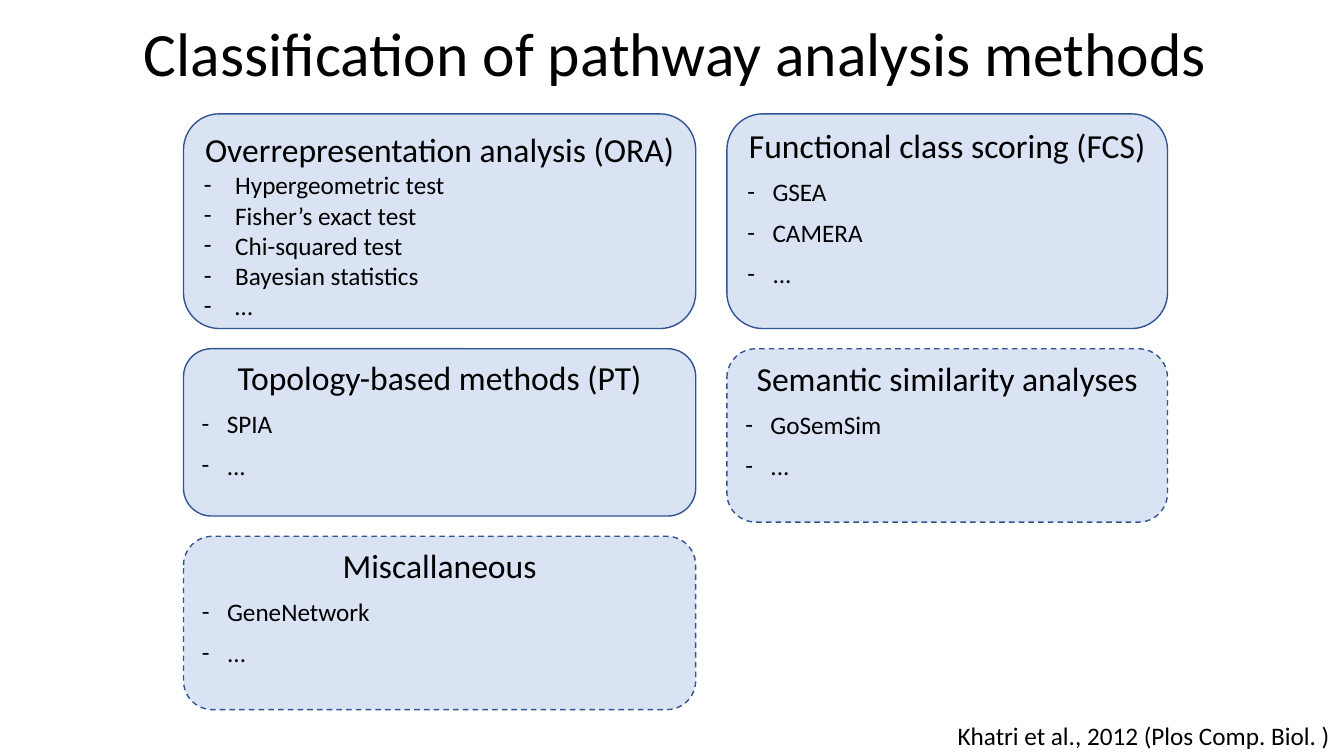
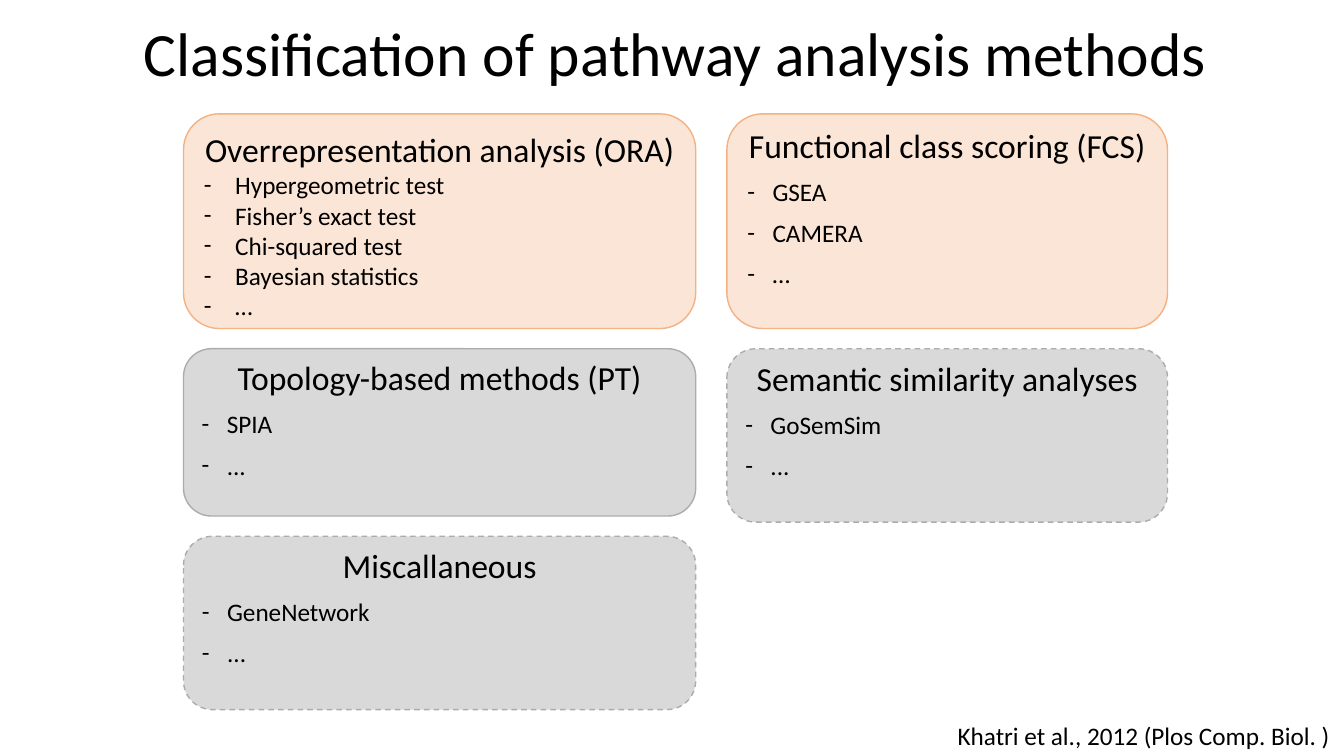
from dataclasses import dataclass
from lxml import etree
from pptx import Presentation
from pptx import util as u
from pptx.dml.color import RGBColor
from pptx.enum import dml, shapes, text
from pptx.oxml.ns import qn

FONT = "Calibri"
INK = "000000"
TITLE = "Classification of pathway analysis methods"
CITE = "Khatri et al., 2012 (Plos Comp. Biol. )"
TOP = 1.13
COLS = ((1.82, 5.08), (7.21, 4.37))
GAP = 0.2


@dataclass(frozen=True)
class Tone:
    fill: str
    line: str


@dataclass(frozen=True)
class Card:
    head: str
    items: tuple[str, ...]
    high: float
    main: bool = False
    dash: bool = False
    tight: bool = False


@dataclass(frozen=True)
class Page:
    main: Tone
    rest: Tone
    end: str


BLUE = Tone("DAE3F3", "325491")
PEACH = Tone("FBE5D6", "F4B183")
GREY = Tone("D9D9D9", "AFABAB")
PAGES = (Page(BLUE, BLUE, "..."), Page(PEACH, GREY, "…"))


def stacks(end: str) -> tuple[tuple[Card, ...], ...]:
    tests = ("Hypergeometric test", "Fisher’s exact test",
             "Chi-squared test", "Bayesian statistics", "…")
    return (
        (
            Card("Overrepresentation analysis (ORA)", tests, 2.13, main=True, tight=True),
            Card("Topology-based methods (PT)", ("SPIA", "..."), 1.66),
            Card("Miscallaneous", ("GeneNetwork", "..."), 1.72, dash=True),
        ),
        (
            Card("Functional class scoring (FCS)", ("GSEA", "CAMERA", end), 2.13, main=True),
            Card("Semantic similarity analyses", ("GoSemSim", "..."), 1.72, dash=True),
        ),
    )


def tint(code: str) -> RGBColor:
    return RGBColor.from_string(code)


def add_run(para, words: str, size: float) -> None:
    run = para.add_run()
    run.text = words
    run.font.name = FONT
    run.font.size = u.Pt(size)
    run.font.color.rgb = tint(INK)


def add_dash(para, indent: float) -> None:
    props = para._p.get_or_add_pPr()
    props.set("marL", str(u.Inches(indent)))
    props.set("indent", str(-u.Inches(indent)))
    etree.SubElement(props, qn("a:buFont")).set("typeface", FONT)
    etree.SubElement(props, qn("a:buChar")).set("char", "-")


def add_label(slide, words: str, size: float, box: tuple[float, ...], wrap: bool):
    frame = slide.shapes.add_textbox(*map(u.Inches, box)).text_frame
    frame.word_wrap = wrap
    add_run(frame.paragraphs[0], words, size)
    return frame


def add_title(slide) -> None:
    frame = add_label(slide, TITLE, 44, (0.95, 0, 11.5, 1.12), True)
    frame.vertical_anchor = text.MSO_ANCHOR.MIDDLE
    para = frame.paragraphs[0]
    para.alignment = text.PP_ALIGN.CENTER
    para.line_spacing = 0.9


def add_card(slide, card: Card, tone: Tone, left: float, top: float, wide: float) -> None:
    box = map(u.Inches, (left, top, wide, card.high))
    shape = slide.shapes.add_shape(shapes.MSO_SHAPE.ROUNDED_RECTANGLE, *box)
    shape.shadow.inherit = False
    shape.fill.solid()
    shape.fill.fore_color.rgb = tint(tone.fill)
    shape.line.color.rgb = tint(tone.line)
    shape.line.width = u.Pt(1)
    if card.dash:
        shape.line.dash_style = dml.MSO_LINE.DASH
    frame = shape.text_frame
    frame.word_wrap = True
    frame.vertical_anchor = text.MSO_ANCHOR.TOP
    head = frame.paragraphs[0]
    head.alignment = text.PP_ALIGN.CENTER
    add_run(head, card.head, 24)
    for item in card.items:
        para = frame.add_paragraph()
        para.alignment = text.PP_ALIGN.LEFT
        add_dash(para, 0.31 if card.tight else 0.25)
        if not card.tight:
            para.space_before = u.Pt(10)
        add_run(para, item, 18)
    if not card.tight:
        for para in frame.paragraphs:
            para.line_spacing = 0.9


def add_page(deck, page: Page) -> None:
    slide = deck.slides.add_slide(deck.slide_layouts[6])
    add_title(slide)
    for (left, wide), cards in zip(COLS, stacks(page.end)):
        top = TOP
        for card in cards:
            tone = page.main if card.main else page.rest
            add_card(slide, card, tone, left, top, wide)
            top += card.high + GAP
    add_label(slide, CITE, 18, (9.4, 7.1, 3.93, 0.4), False)


def main() -> None:
    deck = Presentation()
    deck.slide_width = u.Inches(13.33)
    deck.slide_height = u.Inches(7.5)
    for page in PAGES:
        add_page(deck, page)
    deck.save("out.pptx")


if __name__ == "__main__":
    main()
